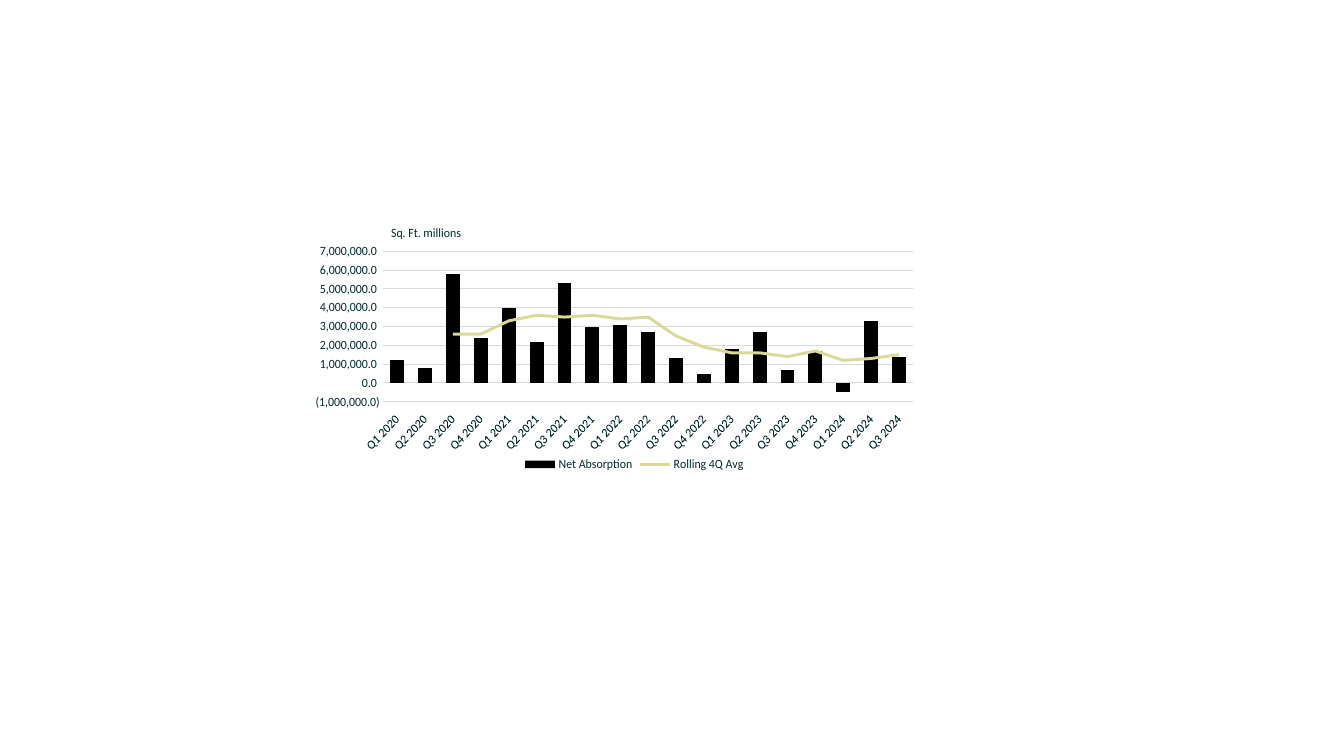
from dataclasses import dataclass

from lxml.etree import SubElement
from pptx import Presentation
from pptx.chart.data import CategoryChartData
from pptx.dml.color import RGBColor
from pptx.enum.chart import (XL_CHART_TYPE, XL_LEGEND_POSITION, XL_MARKER_STYLE,
                             XL_TICK_LABEL_POSITION, XL_TICK_MARK)
from pptx.oxml import parse_xml
from pptx.oxml.ns import nsdecls, qn
from pptx.util import Cm, Pt


@dataclass(frozen=True)
class Theme:
    font: str = "Calibri"
    size: float = 9
    text: str = "012A2D"
    grid: str = "D9D9D9"
    bars: str = "000000"
    average: str = "DBD99A"
    thin: float = 0.75
    thick: float = 2.25


QUARTERS = [f"Q{quarter} {year}" for year in range(2020, 2025)
            for quarter in range(1, 5)][:19]
ABSORPTION = [1.2, 0.8, 5.8, 2.4, 4.0, 2.2, 5.3, 3.0, 3.1, 2.7,
              1.3, 0.5, 1.8, 2.7, 0.7, 1.7, -0.5, 3.3, 1.4]
ROLLING = [None, None, 2.6, 2.6, 3.3, 3.6, 3.5, 3.6, 3.4, 3.5,
           2.5, 1.9, 1.6, 1.6, 1.4, 1.7, 1.2, 1.3, 1.5]
NUMBER_FORMAT = r"#,##0.0_);\(#,##0.0\)"


def assign(target, values):
    for name, value in values.items():
        setattr(target, name, value)


def in_units(millions):
    return [None if value is None else round(value * 1_000_000) for value in millions]


def manual_layout(parent, index, values):
    layout = parse_xml(f"<c:layout {nsdecls('c')}/>")
    manual = SubElement(layout, qn("c:manualLayout"))
    for name, value in values.items():
        SubElement(manual, qn(f"c:{name}")).set("val", str(value))
    for old in parent.findall(qn("c:layout")):
        parent.remove(old)
    parent.insert(index, layout)


class SlideBuilder:
    def __init__(self, deck, theme):
        self.theme = theme
        self.page = deck.slides.add_slide(deck.slide_layouts[6])

    def style_font(self, font):
        assign(font, {"name": self.theme.font, "size": Pt(self.theme.size), "bold": False})
        font.color.rgb = RGBColor.from_string(self.theme.text)

    def style_line(self, line, color, width):
        line.color.rgb = RGBColor.from_string(color)
        line.width = Pt(width)

    def combined_chart(self, left, top, width, height):
        data = CategoryChartData(number_format=NUMBER_FORMAT)
        data.categories = QUARTERS
        data.add_series("Net Absorption", in_units(ABSORPTION))
        data.add_series("Rolling 4Q Avg", in_units(ROLLING))
        chart = self.page.shapes.add_chart(
            XL_CHART_TYPE.COLUMN_STACKED, Cm(left), Cm(top), Cm(width), Cm(height), data).chart
        chart.has_title = False
        self.style_font(chart.font)
        self.move_last_series_to_line(chart)
        self.style_series(chart)
        self.style_axes(chart)
        self.style_legend(chart)

    def move_last_series_to_line(self, chart):
        columns = chart.element.find(f".//{qn('c:barChart')}")
        series = columns.findall(qn("c:ser"))[-1]
        for inversion in series.findall(qn("c:invertIfNegative")):
            series.remove(inversion)
        line = parse_xml(f"<c:lineChart {nsdecls('c')}><c:grouping val='standard'/>"
                         "<c:varyColors val='0'/></c:lineChart>")
        line.append(series)
        SubElement(line, qn("c:marker")).set("val", "1")
        for axis in columns.findall(qn("c:axId")):
            SubElement(line, qn("c:axId")).set("val", axis.get("val"))
        columns.addnext(line)

    def style_series(self, chart):
        columns, line = chart.plots
        assign(columns, {"gap_width": 100, "overlap": 100, "vary_by_categories": False})
        absorption, average = columns.series[0], line.series[0]
        absorption.invert_if_negative = False
        absorption.format.fill.solid()
        absorption.format.fill.fore_color.rgb = RGBColor.from_string(self.theme.bars)
        self.style_line(average.format.line, self.theme.average, self.theme.thick)
        average.marker.style = XL_MARKER_STYLE.NONE
        average.smooth = False

    def style_axes(self, chart):
        quarters, amounts = chart.category_axis, chart.value_axis
        for axis in (quarters, amounts):
            assign(axis, {"major_tick_mark": XL_TICK_MARK.NONE,
                          "minor_tick_mark": XL_TICK_MARK.NONE})
            self.style_font(axis.tick_labels.font)
        quarters.tick_label_position = XL_TICK_LABEL_POSITION.LOW
        self.style_line(quarters.format.line, self.theme.grid, self.theme.thin)
        rotation = chart.element.find(f".//{qn('c:catAx')}/{qn('c:txPr')}/{qn('a:bodyPr')}")
        rotation.set("rot", "-2700000")
        rotation.set("vert", "horz")

        assign(amounts, {"minimum_scale": -1_000_000, "maximum_scale": 7_000_000,
                         "major_unit": 1_000_000, "has_major_gridlines": True})
        assign(amounts.tick_labels, {"number_format": NUMBER_FORMAT,
                                     "number_format_is_linked": False})
        amounts.format.line.fill.background()
        self.style_line(amounts.major_gridlines.format.line, self.theme.grid, self.theme.thin)
        frame = amounts.axis_title.text_frame
        frame.text = "Sq. Ft. millions"
        self.style_font(frame.paragraphs[0].runs[0].font)

        title = chart.element.find(f".//{qn('c:valAx')}/{qn('c:title')}")
        direction = title.find(f".//{qn('a:bodyPr')}")
        direction.set("rot", "0")
        direction.set("vert", "horz")
        manual_layout(title, 1, {"xMode": "edge", "yMode": "edge", "x": 0.066, "y": 0.03})
        plot_area = chart.element.find(f".//{qn('c:plotArea')}")
        manual_layout(plot_area, 0, {"layoutTarget": "inner", "xMode": "edge",
                                     "yMode": "edge", "x": 0.056, "y": 0.14,
                                     "w": 0.937, "h": 0.577})

    def style_legend(self, chart):
        chart.has_legend = True
        assign(chart.legend, {"position": XL_LEGEND_POSITION.BOTTOM,
                              "include_in_layout": False})
        self.style_font(chart.legend.font)


def main():
    deck = Presentation()
    assign(deck, {"slide_width": Cm(33.87), "slide_height": Cm(19.05)})
    SlideBuilder(deck, Theme()).combined_chart(7.95, 5.41, 15.16, 6.58)
    deck.save("out.pptx")


if __name__ == "__main__":
    main()
